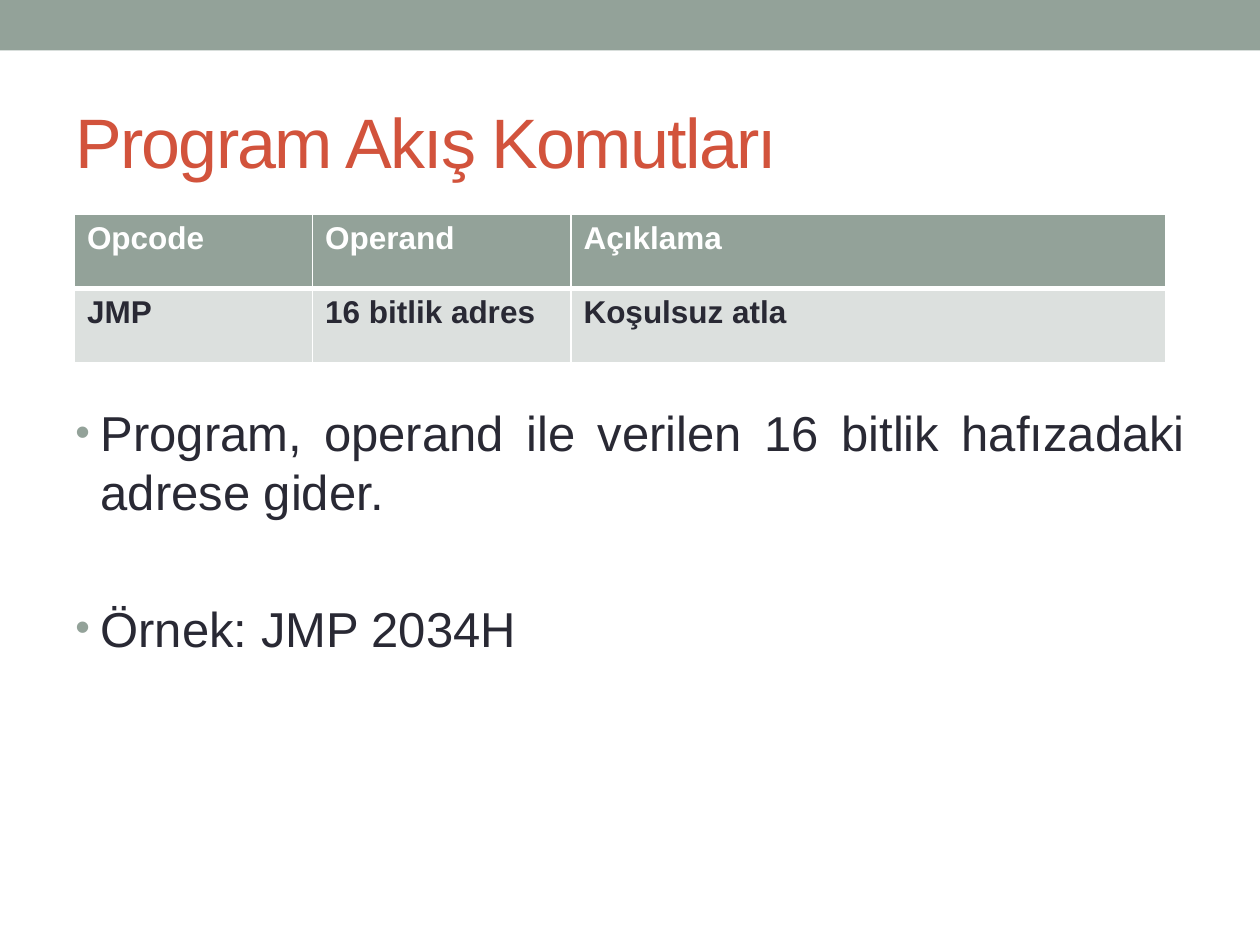
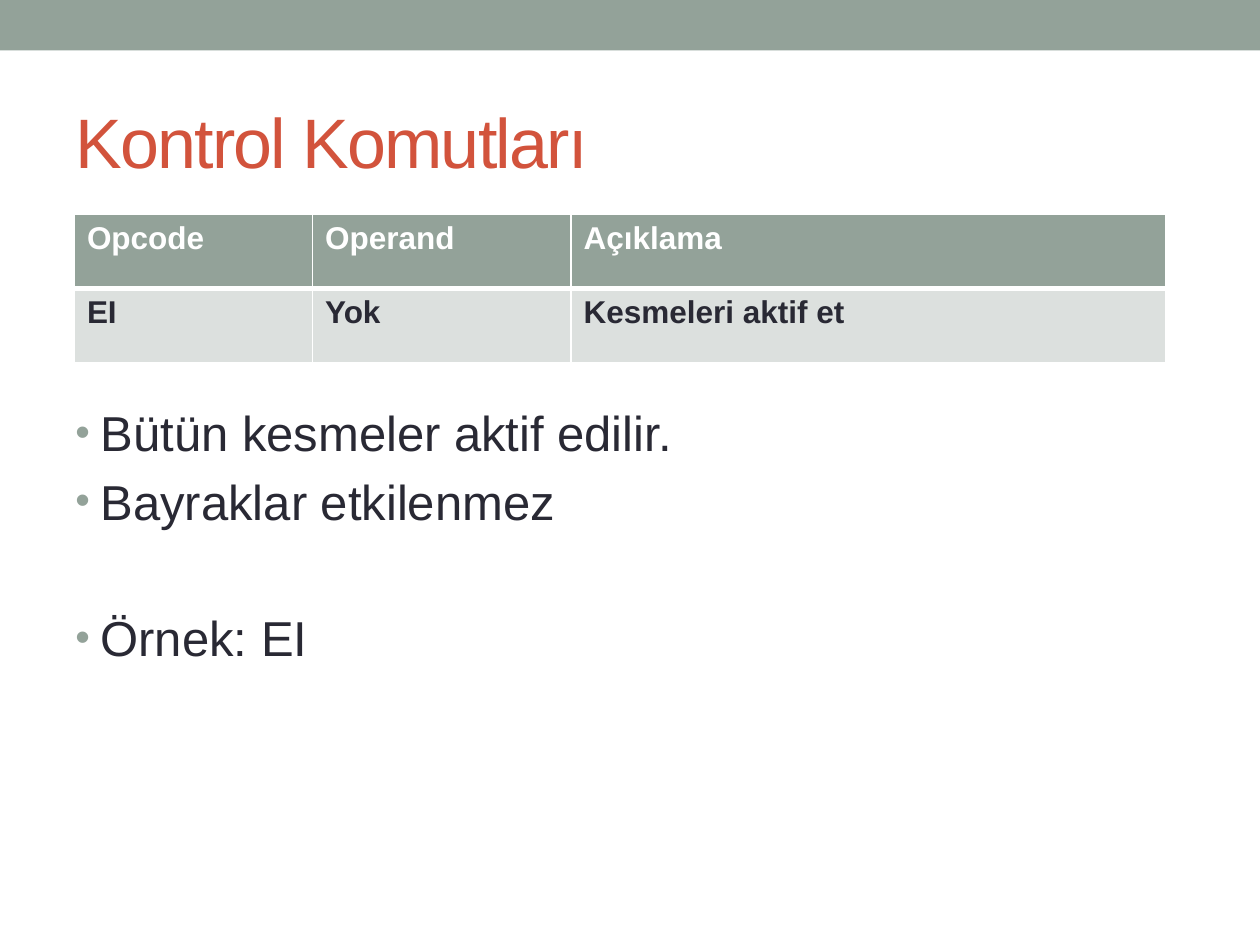
from pptx import Presentation
from pptx.dml.color import RGBColor
from pptx.enum.shapes import MSO_SHAPE as Shape
from pptx.enum.text import MSO_ANCHOR as Anchor, PP_ALIGN as Align
from pptx.oxml import parse_xml
from pptx.oxml.ns import nsdecls
from pptx.util import Cm, Pt

SAGE = RGBColor(0x93, 0xA2, 0x99)
PALE_SAGE = RGBColor(0xDC, 0xE0, 0xDE)
RUST = RGBColor(0xD2, 0x53, 0x3C)
INK = RGBColor(0x29, 0x29, 0x34)
WHITE = RGBColor(0xFF, 0xFF, 0xFF)

LINE_HEIGHT = 33.5
PARA_GAP = 5.6
HEADINGS = ("Opcode", "Operand", "Açıklama")
COLUMN_WIDTHS = (4.8, 5.21, 11.99)
ROW_HEIGHT = 1.5

# Title, table row, groups of bullets (groups are one blank line apart)
COMMANDS = [
    ("Program Akış Komutları",
     ("JMP", "16 bitlik adres", "Koşulsuz atla"),
     [["Program, operand ile verilen 16 bitlik hafızadaki adrese gider."],
      ["Örnek: JMP 2034H"]]),
    ("Kontrol Komutları",
     ("EI", "Yok", "Kesmeleri aktif et"),
     [["Bütün kesmeler aktif edilir.", "Bayraklar etkilenmez"],
      ["Örnek: EI"]]),
]


class CommandDeck:
    font_name = "Arial"

    def __init__(self):
        self.deck = Presentation()
        self.deck.slide_width, self.deck.slide_height = Cm(25.4), Cm(19.05)
        self.slide = None

    def start_slide(self):
        self.slide = self.deck.slides.add_slide(self.deck.slide_layouts[6])
        band = self.slide.shapes.add_shape(
            Shape.RECTANGLE, 0, 0, self.deck.slide_width, Cm(1.02))
        band.shadow.inherit = False
        band.fill.solid()
        band.fill.fore_color.rgb = SAGE
        band.line.fill.background()

    def style(self, para, size, color, bold=False):
        for span in para.runs:
            font = span.font
            font.name, font.size, font.bold = self.font_name, Pt(size), bold
            font.color.rgb = color

    def text_frame(self, top, height):
        box = self.slide.shapes.add_textbox(Cm(1.27), Cm(top), Cm(22.86), Cm(height))
        box.text_frame.word_wrap = True
        return box.text_frame

    def title(self, text):
        frame = self.text_frame(1.47, 2.74)
        frame.vertical_anchor = Anchor.MIDDLE
        frame.text = text
        para = frame.paragraphs[0]
        self.style(para, 40, RUST)
        para.runs[0].font._element.set("spc", "-100")

    def table(self, rows):
        table = self.slide.shapes.add_table(
            len(rows), len(COLUMN_WIDTHS), Cm(1.5), Cm(4.32),
            Cm(sum(COLUMN_WIDTHS)), Cm(ROW_HEIGHT * len(rows))).table
        for column, width in zip(table.columns, COLUMN_WIDTHS):
            column.width = Cm(width)
        for row_index, (row, texts) in enumerate(zip(table.rows, rows)):
            row.height = Cm(ROW_HEIGHT)
            is_header = row_index == 0
            for cell, text in zip(row.cells, texts):
                cell.text = text
                self.style(cell.text_frame.paragraphs[0], 18,
                           WHITE if is_header else INK, bold=True)
                self.cell_borders(cell, top=1 if is_header else 3,
                                  bottom=3 if is_header else 1)
                cell.fill.solid()
                cell.fill.fore_color.rgb = SAGE if is_header else PALE_SAGE

    def cell_borders(self, cell, top, bottom):
        """Draw white borders; call before filling, as lines precede the fill."""
        properties = cell._tc.get_or_add_tcPr()
        for side, width in (("L", 1), ("R", 1), ("T", top), ("B", bottom)):
            properties.append(parse_xml(
                f'<a:ln{side} {nsdecls("a")} w="{Pt(width)}"><a:solidFill>'
                f'<a:srgbClr val="{WHITE}"/></a:solidFill></a:ln{side}>'))

    def bullets(self, groups):
        frame = self.text_frame(7.92, 10.06)
        frame.margin_top = Cm(0.2)
        for group_index, group in enumerate(groups):
            for item_index, text in enumerate(group):
                if group_index == item_index == 0:
                    para, gap = frame.paragraphs[0], 0
                else:
                    para = frame.add_paragraph()
                    gap = PARA_GAP if item_index else 2 * PARA_GAP + LINE_HEIGHT
                para.text = text
                para.alignment = Align.JUSTIFY
                para.line_spacing = Pt(LINE_HEIGHT)
                para.space_before = Pt(gap)
                self.add_bullet(para)
                self.style(para, 28, INK)

    def add_bullet(self, para):
        properties = para._p.get_or_add_pPr()
        properties.set("marL", str(Cm(0.51)))
        properties.set("indent", str(-Cm(0.51)))
        for markup in (f'buClr {nsdecls("a")}><a:srgbClr val="{SAGE}"/></a:buClr>',
                       f'buSzPct {nsdecls("a")} val="85000"/>',
                       f'buFont {nsdecls("a")} typeface="{self.font_name}"/>',
                       f'buChar {nsdecls("a")} char="•"/>'):
            properties.append(parse_xml(f"<a:{markup}"))


def main():
    commands = CommandDeck()
    for title, row, groups in COMMANDS:
        commands.start_slide()
        commands.title(title)
        commands.bullets(groups)
        commands.table([HEADINGS, row])
    commands.deck.save("out.pptx")


if __name__ == "__main__":
    main()
